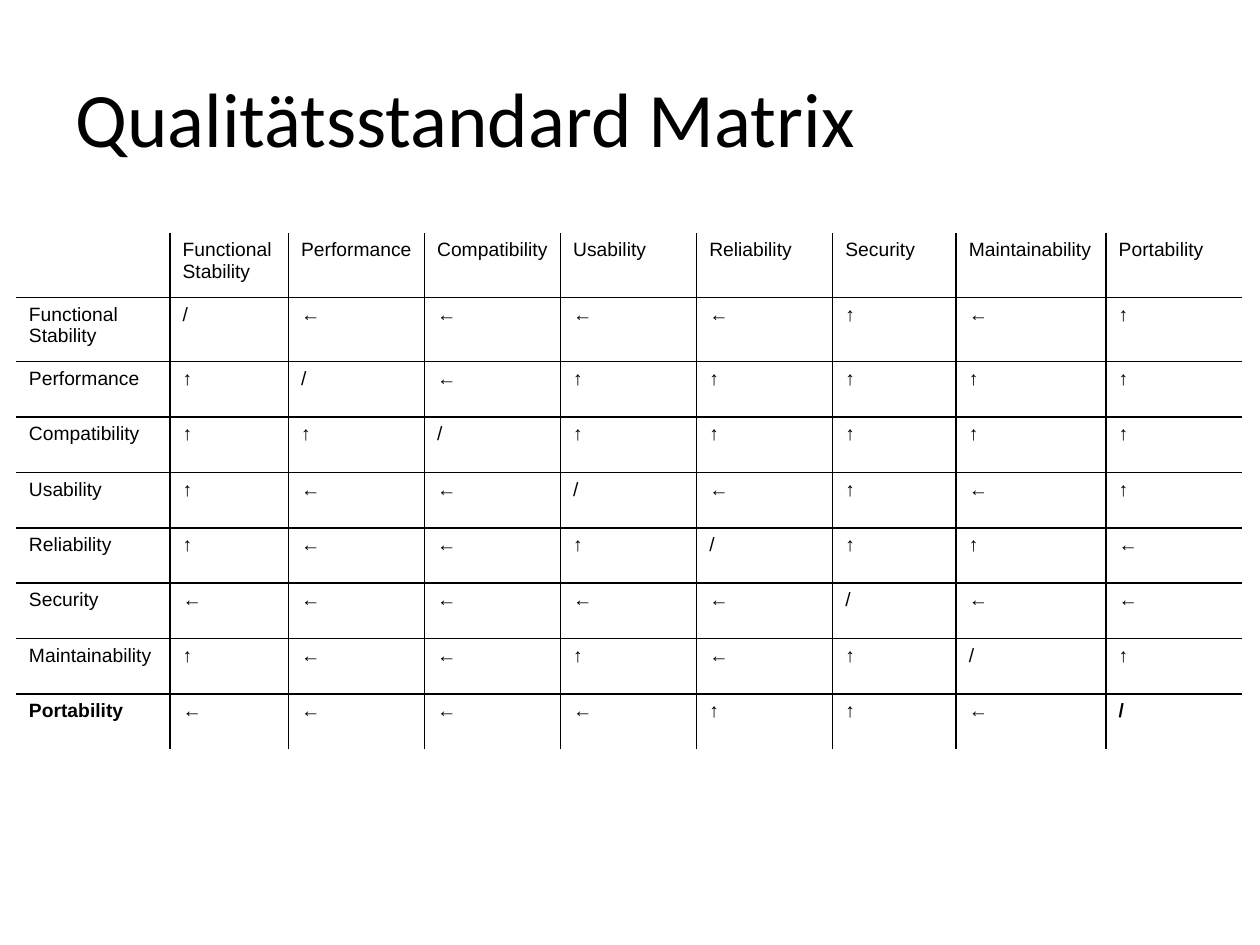
from lxml import etree
from pptx import Presentation
from pptx import util as u
from pptx.dml.color import RGBColor
from pptx.enum import text
from pptx.oxml.ns import qn

TITLE = "Qualitätsstandard Matrix"
QUALITIES = ["Functional Stability", "Performance", "Compatibility", "Usability",
             "Reliability", "Security", "Maintainability", "Portability"]
# One row per quality: "<" favours the row, "^" favours the column
RATINGS = ["/<<<<^<^",
           "^/<^^^^^",
           "^^/^^^^^",
           "^<</<^<^",
           "^<<^/^^<",
           "<<<<</<<",
           "^<<^<^/^",
           "<<<<^^</"]
SYMBOLS = {"<": "←", "^": "↑", "/": "/"}

THEME = {"ink": "000000", "paper": "FFFFFF", "title_font": "Calibri", "title_size": 44,
         "body_font": "Arial", "body_size": 11, "rule": 1}

WIDTH, HEIGHT = 10, 7.5
TITLE_BOX = (0.05 * WIDTH, 0.04 * HEIGHT, 0.9 * WIDTH, 1.25)
MATRIX_LEFT, MATRIX_TOP = 0.13, 1.85
COLUMNS = [1.22, 0.94] + [1.08] * 4 + [0.98, 1.19, 1.08]
ROWS = [0.51] * 2 + [0.44] * 7


def write(frame, words, font, size, bold=False):
    """Put one styled run into the first paragraph of a frame."""
    run = frame.paragraphs[0].add_run()
    run.text = words
    run.font.name = font
    run.font.size = u.Pt(size)
    run.font.bold = bold
    run.font.color.rgb = RGBColor.from_string(THEME["ink"])


def rule_cell(cell, drawn):
    """Draw the named sides of a cell and clear the others."""
    props = cell._tc.get_or_add_tcPr()
    for place, side in enumerate("LRTB"):
        line = etree.Element(qn(f"a:ln{side}"), w=str(u.Pt(THEME["rule"])))
        if side in drawn:
            fill = etree.SubElement(line, qn("a:solidFill"))
            etree.SubElement(fill, qn("a:srgbClr"), val=THEME["ink"])
        else:
            etree.SubElement(line, qn("a:noFill"))
        props.insert(place, line)


def add_title(slide):
    """Add the heading, centred vertically in its box."""
    heading = slide.shapes.add_textbox(*map(u.Inches, TITLE_BOX)).text_frame
    heading.word_wrap = True
    heading.vertical_anchor = text.MSO_ANCHOR.MIDDLE
    write(heading, TITLE, THEME["title_font"], THEME["title_size"])


def add_matrix(slide):
    """Add the quality matrix with inner rules only."""
    entries = [[""] + QUALITIES]
    entries += [[quality] + [SYMBOLS[mark] for mark in marks]
                for quality, marks in zip(QUALITIES, RATINGS)]
    last_row, last_column = len(ROWS) - 1, len(COLUMNS) - 1
    bounds = (MATRIX_LEFT, MATRIX_TOP, sum(COLUMNS), sum(ROWS))
    matrix = slide.shapes.add_table(len(ROWS), len(COLUMNS), *map(u.Inches, bounds)).table
    matrix.first_row = matrix.horz_banding = False
    for column, width in zip(matrix.columns, COLUMNS):
        column.width = u.Inches(width)
    for row, height in zip(matrix.rows, ROWS):
        row.height = u.Inches(height)
    for r, line in enumerate(entries):
        for c, entry in enumerate(line):
            cell = matrix.cell(r, c)
            cell.fill.solid()
            cell.fill.fore_color.rgb = RGBColor.from_string(THEME["paper"])
            inner = {"L": c > 0, "R": c < last_column, "T": r > 0, "B": r < last_row}
            rule_cell(cell, [side for side, shown in inner.items() if shown])
            if entry:
                write(cell.text_frame, entry, THEME["body_font"], THEME["body_size"],
                      bold=r == last_row)


deck = Presentation()
deck.slide_width, deck.slide_height = u.Inches(WIDTH), u.Inches(HEIGHT)
page = deck.slides.add_slide(deck.slide_layouts[6])
add_title(page)
add_matrix(page)
deck.save("out.pptx")
